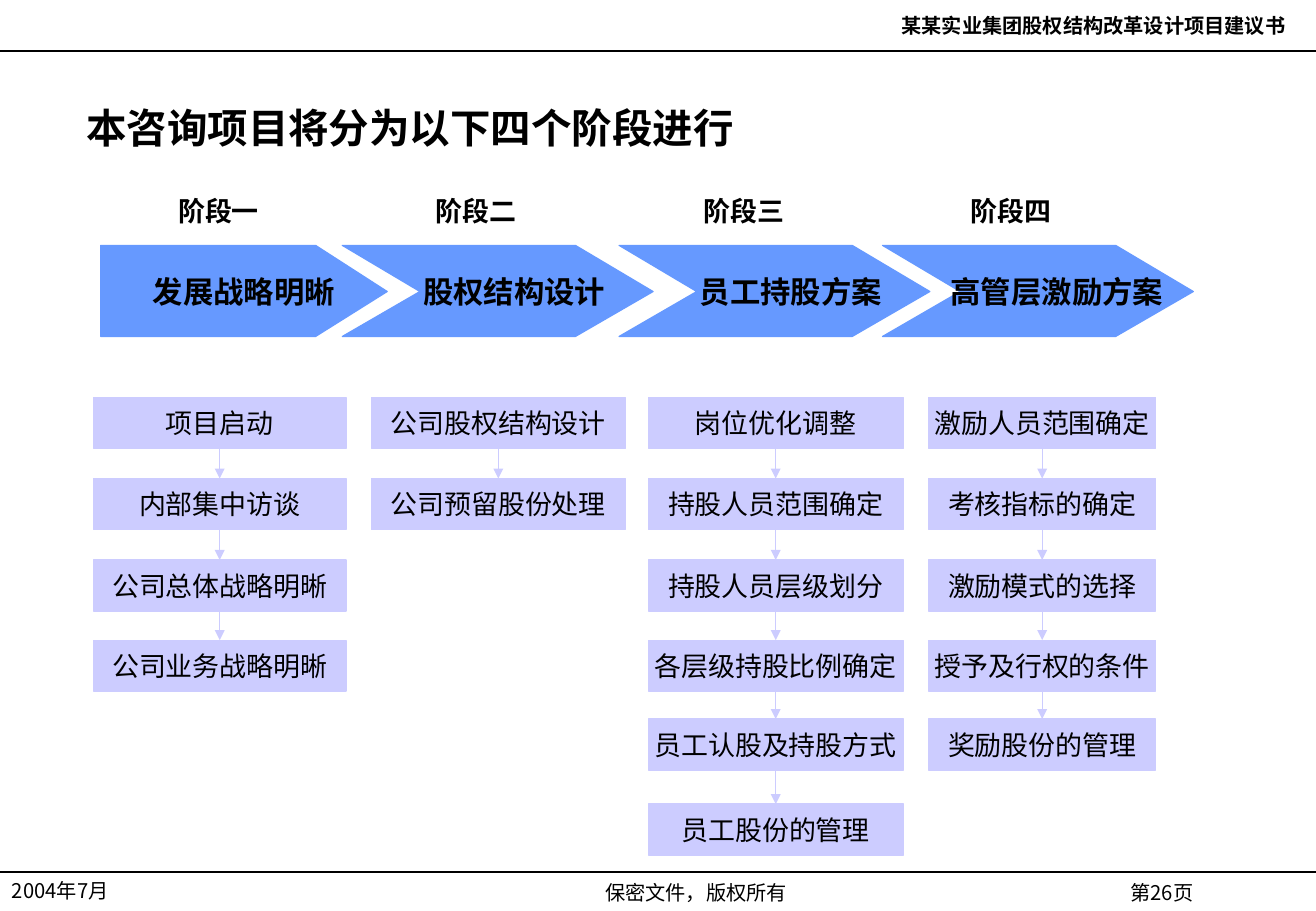
from lxml.etree import SubElement
from pptx import Presentation
from pptx.dml.color import RGBColor
from pptx.enum.lang import MSO_LANGUAGE_ID as Language
from pptx.enum.shapes import MSO_CONNECTOR as Connector, MSO_SHAPE as Shape
from pptx.enum.text import MSO_ANCHOR as Anchor, MSO_AUTO_SIZE as AutoSize, PP_ALIGN as Align
from pptx.oxml.ns import qn
from pptx.util import Inches, Pt

COLORS = {"black": "000000", "phase": "6699FF", "step": "CCCCFF"}
SANS = "Noto Sans CJK SC"
SERIF = "Times New Roman"


def write(shape, text, size, font_name, bold=False, align=Align.CENTER, wrap=True):
    frame = shape.text_frame
    frame.text = text
    frame.word_wrap = wrap
    frame.auto_size = AutoSize.NONE
    paragraph = frame.paragraphs[0]
    paragraph.alignment = align
    font = paragraph.runs[0].font
    font.size = Pt(size)
    font.bold = bold
    font.name = font_name
    font.language_id = Language.SIMPLIFIED_CHINESE
    font.color.rgb = RGBColor.from_string(COLORS["black"])
    SubElement(font._element, qn("a:ea"), typeface=SANS)


def add_line(start, end, color):
    line = slide.shapes.add_connector(Connector.STRAIGHT, *map(Inches, start + end))
    line.line.color.rgb = RGBColor.from_string(COLORS[color])
    line.line.width = Pt(0.75)
    SubElement(line._element.spPr, qn("a:effectLst"))
    return line


presentation = Presentation()
presentation.slide_width = Inches(10.84)
presentation.slide_height = Inches(7.5)
slide = presentation.slides.add_slide(presentation.slide_layouts[5])

title = slide.shapes.title
title.left, title.top, title.width, title.height = map(Inches, (0.61, 0.63, 9.21, 0.83))
write(title, "本咨询项目将分为以下四个阶段进行", 24, SERIF, True, Align.LEFT)
title.text_frame.vertical_anchor = Anchor.MIDDLE

for y in (0.42, 7.18):
    add_line((0, y), (10.84, y), "black")

labels = [
    ("某某实业集团股权结构改革设计项目建议书", 6.9, 0.06, 3.79, 12, SANS, True, Align.RIGHT),
    ("2004年7月", 0, 7.18, 1.81, 12, SANS, False, Align.LEFT),
    ("保密文件，版权所有", 2.8, 7.2, 5.87, 12, SERIF, False, Align.CENTER),
    ("第26页", 8.76, 7.2, 1.62, 12, SANS, False, Align.CENTER),
]
for name, left in (("阶段一", 1.09), ("阶段二", 3.21), ("阶段三", 5.42), ("阶段四", 7.62)):
    labels.append((name, left, 1.55, 1.42, 16, SERIF, True, Align.CENTER))
for text, left, top, width, size, font_name, bold, align in labels:
    box = slide.shapes.add_textbox(*map(Inches, (left, top, width, 0.3)))
    write(box, text, size, font_name, bold, align)

blocks = []
phases = [
    ("发展战略明晰", 0.83, 2.36, 0.59, 0, 0.1, SERIF),
    ("股权结构设计", 2.82, 2.56, 0.64, 0.64, 0.37, SANS),
    ("员工持股方案", 5.1, 2.56, 0.64, 0.64, 0.37, SANS),
    ("高管层激励方案", 7.27, 2.56, 0.64, 0.64, 0.41, SANS),
]
top, middle, bottom = 2.02, 2.4, 2.77
for text, left, width, point, notch, inset, font_name in phases:
    right = left + width
    corners = [(right - point, top), (right, middle), (right - point, bottom), (left, bottom)]
    if notch:
        corners.append((left + notch, middle))
    builder = slide.shapes.build_freeform(Inches(left), Inches(top))
    builder.add_line_segments([(Inches(x), Inches(y)) for x, y in corners])
    arrow = builder.convert_to_shape()
    write(arrow, text, 18, font_name, True, wrap=False)
    arrow.text_frame.margin_left = Inches(inset)
    blocks.append((arrow, "phase"))

step_tops = [3.27, 3.94, 4.61, 5.27, 5.92, 6.62]
step_height = 0.42
columns = [
    (0.77, 2.08, range(0), ["项目启动", "内部集中访谈", "公司总体战略明晰", "公司业务战略明晰"]),
    (3.06, 2.09, range(0), ["公司股权结构设计", "公司预留股份处理"]),
    (5.34, 2.1, range(1, 5), ["岗位优化调整", "持股人员范围确定", "持股人员层级划分",
                              "各层级持股比例确定", "员工认股及持股方式", "员工股份的管理"]),
    (7.65, 1.87, range(2, 5), ["激励人员范围确定", "考核指标的确定", "激励模式的选择",
                               "授予及行权的条件", "奖励股份的管理"]),
]
for left, width, serif_rows, steps in columns:
    previous = None
    for row, (text, step_top) in enumerate(zip(steps, step_tops)):
        step = slide.shapes.add_shape(
            Shape.RECTANGLE, *map(Inches, (left, step_top, width, step_height)))
        write(step, text, 16, SERIF if row in serif_rows else SANS, wrap=False)
        blocks.append((step, "step"))
        if previous is not None:
            center = left + width / 2
            link = add_line((center, step_tops[row - 1] + step_height), (center, step_top), "step")
            link.begin_connect(previous, 2)
            link.end_connect(step, 0)
            SubElement(link.line._get_or_add_ln(), qn("a:tailEnd"), type="triangle")
        previous = step

for block, color in blocks:
    block.shadow.inherit = False
    block.fill.solid()
    block.fill.fore_color.rgb = RGBColor.from_string(COLORS[color])
    block.line.color.rgb = RGBColor.from_string(COLORS[color])
    block.line.width = Pt(0.75)
    block.text_frame.vertical_anchor = Anchor.MIDDLE

presentation.save("out.pptx")
